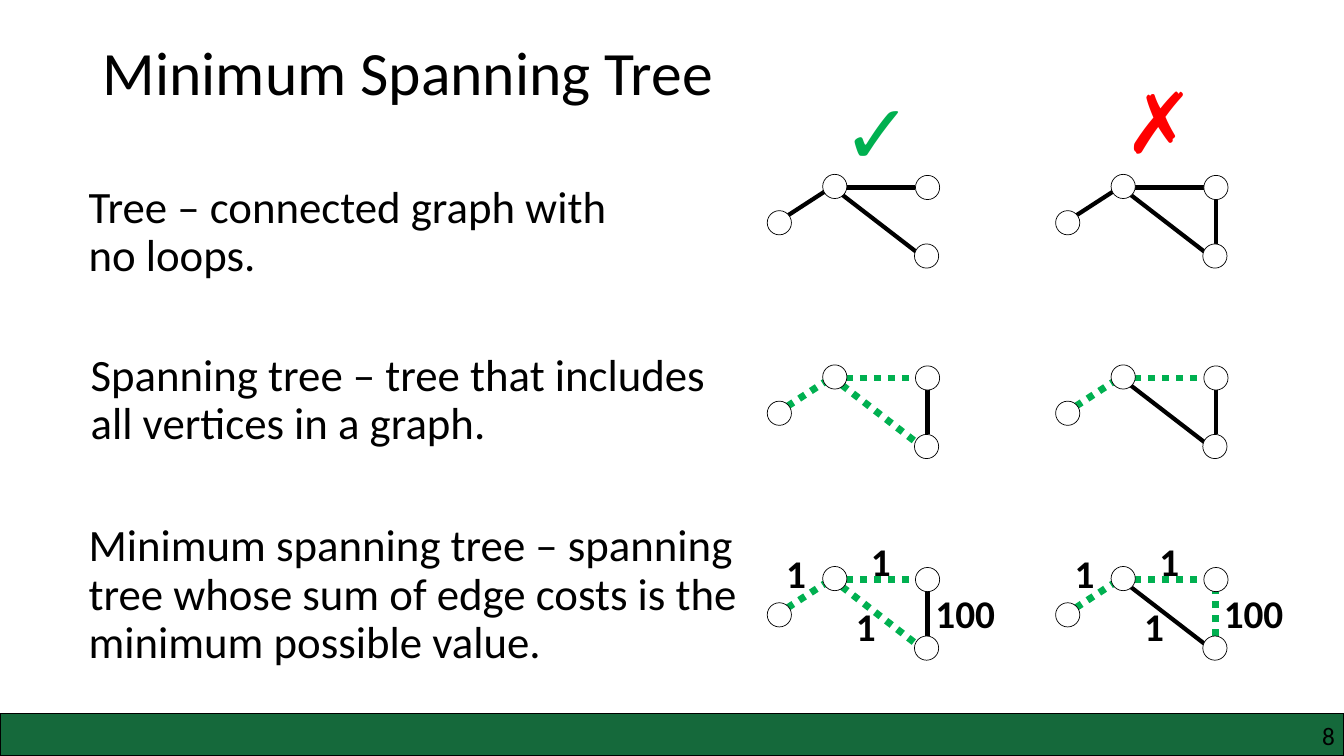
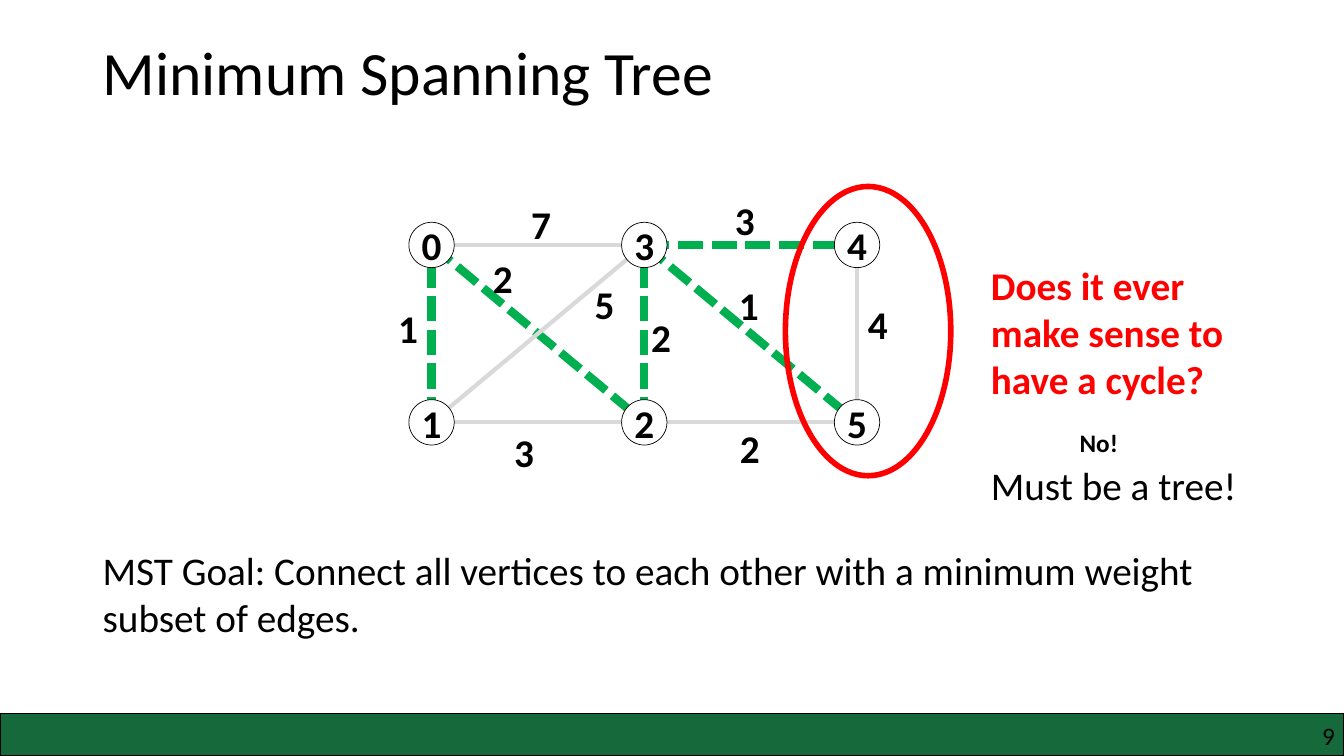
import lxml.etree
import pptx
import pptx.util
from pptx.dml.color import RGBColor
from pptx.enum.dml import MSO_LINE
from pptx.enum.shapes import MSO_CONNECTOR, MSO_SHAPE
from pptx.enum.text import MSO_ANCHOR, PP_ALIGN
from pptx.oxml.ns import qn
from pptx.util import Inches

BLACK = RGBColor(0x00, 0x00, 0x00)
WHITE = RGBColor(0xFF, 0xFF, 0xFF)
GREEN = RGBColor(0x00, 0xB0, 0x50)
RED = RGBColor(0xFF, 0x00, 0x00)
GRAY = RGBColor(0xD9, 0xD9, 0xD9)
BAND = RGBColor(0x15, 0x69, 0x3B)

# Edge styles: colour, width in points, dash
SOLID = (BLACK, 3, None)
DOTS = (GREEN, 5, MSO_LINE.ROUND_DOT)
DASH = (GREEN, 6, MSO_LINE.SQUARE_DOT)
PALE = (GRAY, 3, None)


def write(shape, text, size, bold=False, color=BLACK, font="Calibri",
          align=PP_ALIGN.LEFT, space=1.0, inset=None):
    """Put one styled paragraph into a shape or text box."""
    frame = shape.text_frame
    frame.word_wrap = True
    if inset is not None:
        frame.margin_left = frame.margin_right = Inches(inset)
        frame.margin_top = frame.margin_bottom = Inches(inset)
    frame.text = text
    para = frame.paragraphs[0]
    para.alignment = align
    para.line_spacing = space
    para.font.size = pptx.util.Pt(size)
    para.font.bold = bold
    para.font.name = font
    para.font.color.rgb = color


def link(slide, start, end, style):
    """Draw one graph edge between two points."""
    color, width, dash = style
    edge = slide.shapes.add_connector(
        MSO_CONNECTOR.STRAIGHT, *map(Inches, (*start, *end)))
    edge.line.color.rgb = color
    edge.line.width = pptx.util.Pt(width)
    if dash:
        edge.line.dash_style = dash
    lxml.etree.SubElement(edge._element.spPr, qn("a:effectLst"))


deck = pptx.Presentation()
deck.slide_width = Inches(13.33)
deck.slide_height = Inches(7.5)
blank = deck.slide_layouts[6]
terms, goal = [deck.slides.add_slide(blank) for _ in range(2)]

# Shared title, band and page number
for slide, page in ((terms, "8"), (goal, "9")):
    title = slide.shapes.add_textbox(*map(Inches, (0.92, 0.02, 11.5, 1.45)))
    write(title, "Minimum Spanning Tree", 44, space=0.9)
    title.text_frame.vertical_anchor = MSO_ANCHOR.MIDDLE
    band = slide.shapes.add_shape(
        MSO_SHAPE.RECTANGLE, *map(Inches, (0, 7.08, 13.33, 0.42)))
    band.shadow.inherit = False
    band.fill.solid()
    band.fill.fore_color.rgb = BAND
    band.line.color.rgb = BLACK
    band.line.width = pptx.util.Pt(1)
    number = slide.shapes.add_textbox(*map(Inches, (10.17, 7.15, 3.07, 0.3)))
    write(number, page, 18, align=PP_ALIGN.RIGHT, inset=0)

# Rings of both slides: slide, box, line colour, line width, fill, text
rings = []

# Definitions
for text, box in (
    ("Tree – connected graph with no loops.", (0.78, 1.78, 5.76, 0.6)),
    ("Spanning tree – tree that includes all vertices in a graph.",
     (0.8, 3.45, 6.72, 1.06)),
    ("Minimum spanning tree – spanning tree whose sum of edge costs is the "
     "minimum possible value.", (0.78, 5.14, 6.72, 1.67)),
):
    write(terms.shapes.add_textbox(*map(Inches, box)), text, 32, space=0.9)

for mark, box, color in (("✓", (8.26, 0.75, 1.44, 1.11), GREEN),
                         ("✗", (11.05, 0.64, 0.76, 1.11), RED)):
    write(terms.shapes.add_textbox(*map(Inches, box)), mark, 60, True, color,
          "Arial")

# Small graphs: parts are placed relative to the corner of each graph
NODES = ((0, 0.36), (0.55, 0), (1.47, 0.01), (1.46, 0.69))
EDGES = (((0.2, 0.41), (0.57, 0.17)), ((0.78, 0.13), (1.47, 0.13)),
         ((0.74, 0.2), (1.48, 0.77)), ((1.59, 0.69), (1.59, 0.21)))
COSTS = (("1", 0.09, -0.22), ("1", 0.93, -0.34),
         ("1", 0.78, 0.31), ("100", 1.57, 0.18))
COLS = (7.61, 10.47)
ROWS = (
    (1.73, False, ((SOLID, SOLID, SOLID, None), (SOLID,) * 4)),
    (3.62, False, ((DOTS, DOTS, DOTS, SOLID), (DOTS, DOTS, SOLID, SOLID))),
    (5.62, True, ((DOTS, DOTS, DOTS, SOLID), (DOTS, DOTS, SOLID, DOTS))),
)
for top, costed, pair in ROWS:
    for left, styles in zip(COLS, pair):
        for ((x1, y1), (x2, y2)), style in zip(EDGES, styles):
            if style:
                link(terms, (left + x1, top + y1), (left + x2, top + y2),
                     style)
        for x, y in NODES:
            rings.append((terms, (left + x, top + y, 0.24, 0.24), BLACK, 0.5,
                          WHITE, ""))
        for text, x, y in COSTS if costed else ():
            box = (left + x, top + y, 0.86, 0.57)
            write(terms.shapes.add_textbox(*map(Inches, box)), text, 28, True)

# Large graph: node centres on a grid of three columns and two rows
SIZE = 0.45
XS = [4.28 + 2.11 * col for col in range(3)]
TOP, LOW = 2.43, 4.19
spots = ((XS[0], TOP), (XS[0], LOW), (XS[1], LOW),
         (XS[1], TOP), (XS[2], TOP), (XS[2], LOW))
# From node, to node, style, weight, place of the weight
for a, b, style, cost, x, y in (
    (1, 0, DASH, "1", 3.85, 2.97),
    (5, 4, PALE, "4", 8.51, 2.93),
    (2, 3, DASH, "2", 6.36, 3.06),
    (0, 3, PALE, "7", 5.17, 1.94),
    (1, 2, PALE, "3", 5.0, 4.2),
    (3, 4, DASH, "3", 7.19, 1.9),
    (2, 5, PALE, "2", 7.24, 4.16),
    (0, 2, DASH, "2", 4.79, 2.47),
    (3, 5, DASH, "1", 7.23, 2.74),
    (3, 1, PALE, "5", 5.8, 2.73),
):
    link(goal, spots[a], spots[b], style)
    write(goal.shapes.add_textbox(*map(Inches, (x, y, 0.61, 0.57))), cost, 28,
          True)
for node, (x, y) in enumerate(spots):
    rings.append((goal, (x - SIZE / 2, y - SIZE / 2, SIZE, SIZE), BLACK, 0.5,
                  WHITE, str(node)))
rings.append((goal, (7.79, 1.85, 1.64, 2.87), RED, 4, None, ""))

for slide, box, color, width, fill, text in rings:
    ring = slide.shapes.add_shape(MSO_SHAPE.OVAL, *map(Inches, box))
    ring.shadow.inherit = False
    ring.line.color.rgb = color
    ring.line.width = pptx.util.Pt(width)
    if fill is None:
        ring.fill.background()
    else:
        ring.fill.solid()
        ring.fill.fore_color.rgb = fill
    if text:
        write(ring, text, 28, True, align=PP_ALIGN.CENTER, inset=0)

for text, box, size, bold, color in (
    ("MST Goal: Connect all vertices to each other with a minimum weight "
     "subset of edges.", (0.92, 5.37, 11.66, 1.04), 28, False, BLACK),
    ("Does it ever make sense to have a cycle?", (9.73, 2.54, 2.53, 1.51),
     28, True, RED),
    ("No!", (10.61, 4.19, 0.8, 0.4), 18, True, BLACK),
    ("Must be a tree!", (9.73, 4.53, 2.93, 0.57), 28, False, BLACK),
):
    write(goal.shapes.add_textbox(*map(Inches, box)), text, size, bold, color)

deck.save("out.pptx")
